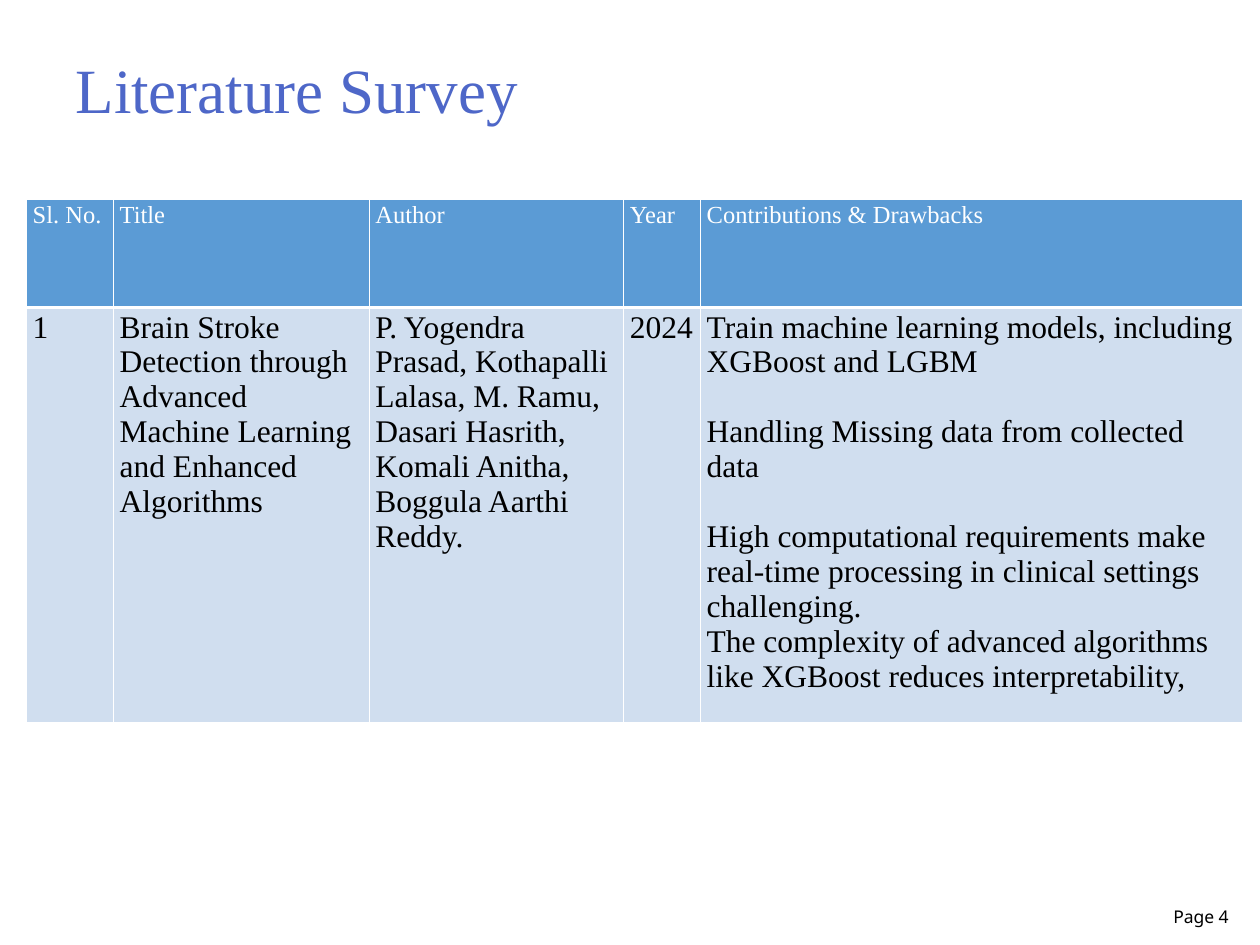
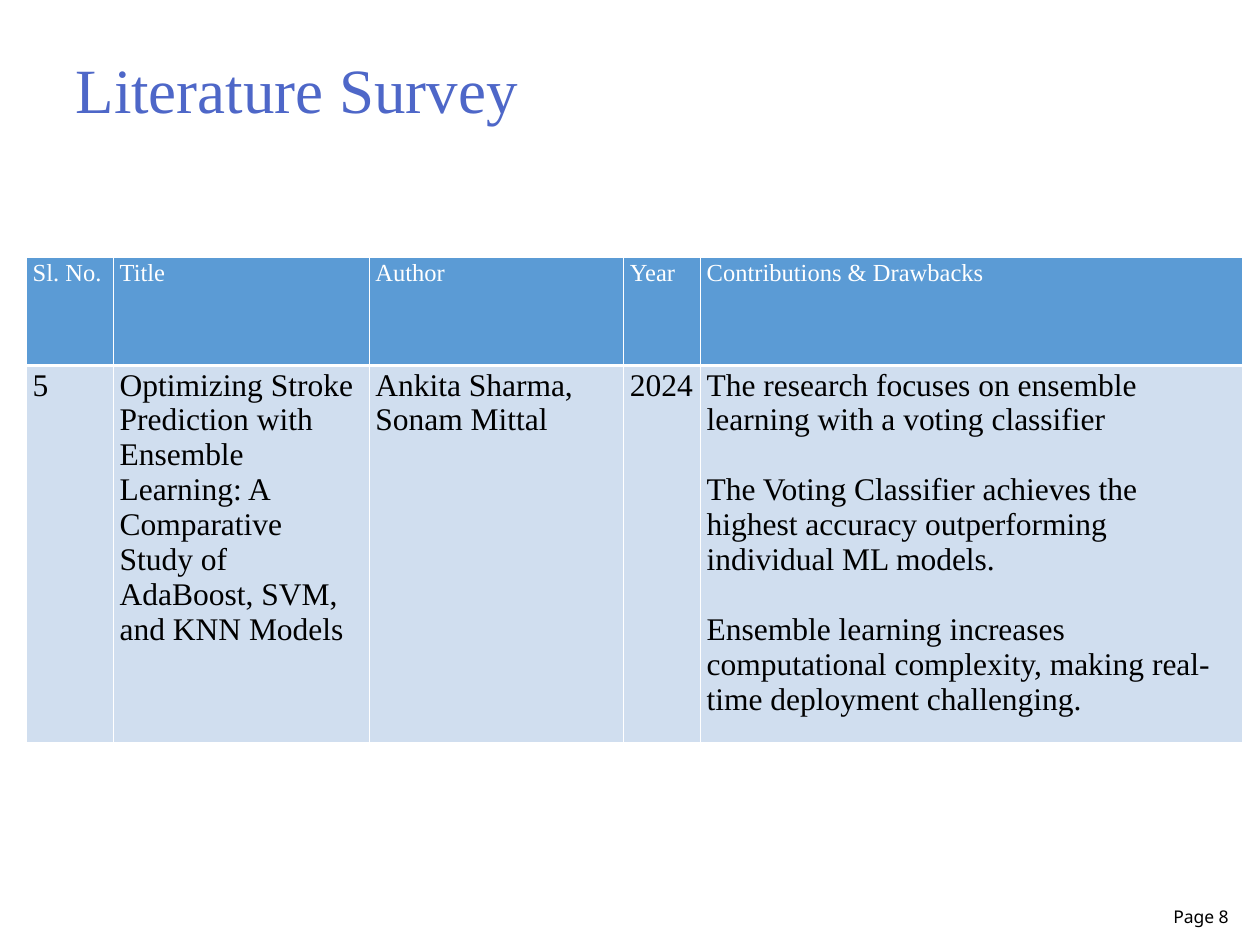
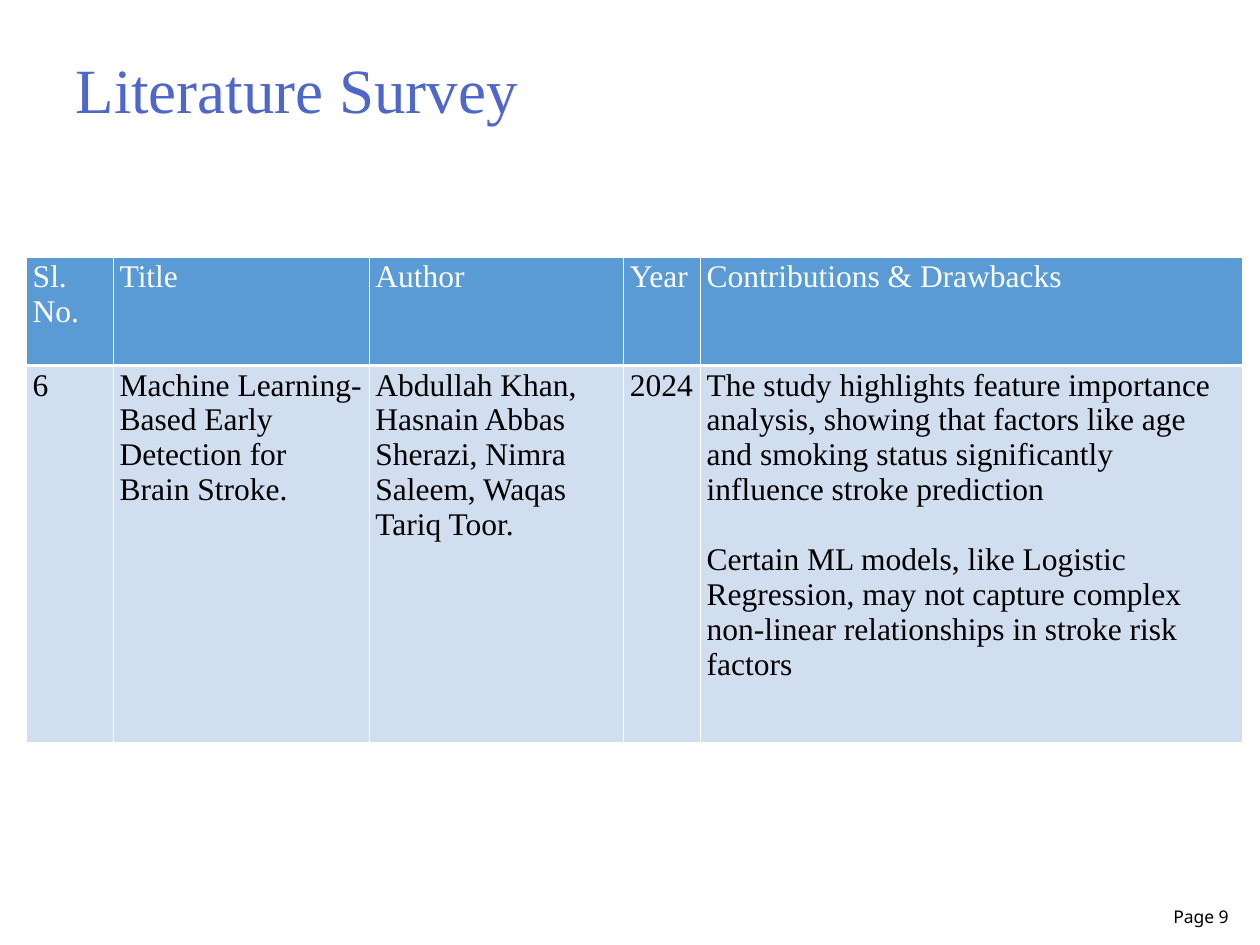
from lxml.etree import SubElement
from pptx import Presentation
from pptx.dml.color import RGBColor
from pptx.enum.text import MSO_ANCHOR, PP_ALIGN
from pptx.oxml.ns import qn
from pptx.util import Inches, Pt

SERIF, SANS = "Times New Roman", "Noto Sans"
TITLE_BLUE, HEADER_BLUE, ROW_BLUE = "4E67C8", "5B9BD5", "D0DEEF"
WHITE, BLACK = "FFFFFF", "000000"

HEADERS = ["Sl. No.", "Title", "Author", "Year", "Contributions & Drawbacks"]
COL_WIDTHS = [0.69, 2.03, 2.02, 0.61, 4.3]
ROW_HEIGHTS = [0.86, 2.99]
THIN, THICK = 0.75, 2
BODY_SIZE, GAP = 18, 20

SURVEYS = [
    {
        "page": 4, "top": 1.58, "header_size": 14,
        "entry": [
            "1",
            "Brain Stroke Detection through Advanced Machine Learning and Enhanced Algorithms",
            "P. Yogendra Prasad, Kothapalli Lalasa, M. Ramu, Dasari Hasrith, "
            "Komali Anitha, Boggula Aarthi Reddy.",
            "2024",
        ],
        "points": [
            ["Train machine learning models, including XGBoost and LGBM"],
            ["Handling Missing data from collected data"],
            ["High computational requirements make real-time processing "
             "in clinical settings challenging.",
             "The complexity of advanced algorithms like XGBoost reduces interpretability,"],
        ],
    },
    {
        "page": 8, "top": 2.04, "header_size": 14,
        "entry": [
            "5",
            "Optimizing Stroke Prediction with Ensemble Learning: "
            "A Comparative Study of AdaBoost, SVM, and KNN Models",
            "Ankita Sharma, Sonam Mittal",
            "2024",
        ],
        "points": [
            ["The research focuses on ensemble learning with a voting classifier"],
            ["The Voting Classifier achieves the highest accuracy "
             "outperforming individual ML models."],
            ["Ensemble learning increases computational complexity, "
             "making real-time deployment challenging."],
        ],
    },
    {
        "page": 9, "top": 2.04, "header_size": 18,
        "entry": [
            "6",
            "Machine Learning-Based Early Detection for Brain Stroke.",
            "Abdullah Khan, Hasnain Abbas Sherazi, Nimra Saleem, Waqas Tariq Toor.",
            "2024",
        ],
        "points": [
            ["The study highlights feature importance analysis, showing that factors like "
             "age and smoking status significantly influence stroke prediction"],
            ["Certain ML models, like Logistic Regression, may not capture complex "
             "non-linear relationships in stroke risk factors"],
        ],
    },
]


def rgb(value):
    """Turn a hex string into a colour."""
    return RGBColor.from_string(value)


def write(p, text, size, color, font=SERIF):
    """Set a paragraph's text and format its runs."""
    p.text = text
    for r in p.runs:
        r.font.size = Pt(size)
        r.font.name = font
        r.font.color.rgb = rgb(color)


def add_text(s, box, text, size, color, font, anchor, align=PP_ALIGN.LEFT, indent=0.1):
    """Add a one-paragraph text box."""
    tf = s.shapes.add_textbox(*map(Inches, box)).text_frame
    tf.word_wrap = True
    tf.vertical_anchor = anchor
    tf.margin_left = Inches(indent)
    p = tf.paragraphs[0]
    write(p, text, size, color, font)
    p.alignment = align


def set_borders(cell, top, bottom):
    """Draw white cell borders with the given top and bottom widths."""
    tc_pr = cell._tc.get_or_add_tcPr()
    for tag, width in (("lnL", THIN), ("lnR", THIN), ("lnT", top), ("lnB", bottom)):
        ln = SubElement(tc_pr, qn(f"a:{tag}"), w=str(Pt(width)))
        fill = SubElement(ln, qn("a:solidFill"))
        SubElement(fill, qn("a:srgbClr"), val=WHITE)


def fill_cell(cell, groups, size, color, fill, top, bottom):
    """Style a cell and write groups of paragraphs with a gap between groups."""
    set_borders(cell, top, bottom)
    cell.fill.solid()
    cell.fill.fore_color.rgb = rgb(fill)
    cell.margin_left = cell.margin_right = Inches(0.05)
    cell.margin_top = cell.margin_bottom = Inches(0.02)
    tf = cell.text_frame
    for g, group in enumerate(groups):
        for i, text in enumerate(group):
            first = g == 0 and i == 0
            p = tf.paragraphs[0] if first else tf.add_paragraph()
            write(p, text, size, color)
            if g > 0 and i == 0:
                p.space_before = Pt(GAP)


def add_survey_table(s, survey):
    """Add the header row and the row of the surveyed paper."""
    table = s.shapes.add_table(
        len(ROW_HEIGHTS), len(COL_WIDTHS), Inches(0.21), Inches(survey["top"]),
        Inches(sum(COL_WIDTHS)), Inches(sum(ROW_HEIGHTS))).table
    for column, width in zip(table.columns, COL_WIDTHS):
        column.width = Inches(width)
    for row, height in zip(table.rows, ROW_HEIGHTS):
        row.height = Inches(height)
    entry = [[[text]] for text in survey["entry"]] + [survey["points"]]
    for c, (header, groups) in enumerate(zip(HEADERS, entry)):
        fill_cell(table.cell(0, c), [[header]], survey["header_size"],
                  WHITE, HEADER_BLUE, THIN, THICK)
        fill_cell(table.cell(1, c), groups, BODY_SIZE, BLACK, ROW_BLUE, THICK, THIN)


def add_survey_slide(prs, survey):
    """Add a slide with title, table and page number."""
    s = prs.slides.add_slide(prs.slide_layouts[6])
    add_text(s, (0, 0.23, 7.52, 0.94), "Literature Survey", 36, TITLE_BLUE, SERIF,
             MSO_ANCHOR.MIDDLE, indent=0.6)
    add_survey_table(s, survey)
    add_text(s, (9.09, 7.01, 0.76, 0.4), f"Page {survey['page']}", 10, BLACK, SANS,
             MSO_ANCHOR.BOTTOM, PP_ALIGN.RIGHT)


def main():
    """Build and save the presentation."""
    prs = Presentation()
    prs.slide_width, prs.slide_height = Inches(10), Inches(7.5)
    for survey in SURVEYS:
        add_survey_slide(prs, survey)
    prs.save("out.pptx")


if __name__ == "__main__":
    main()
